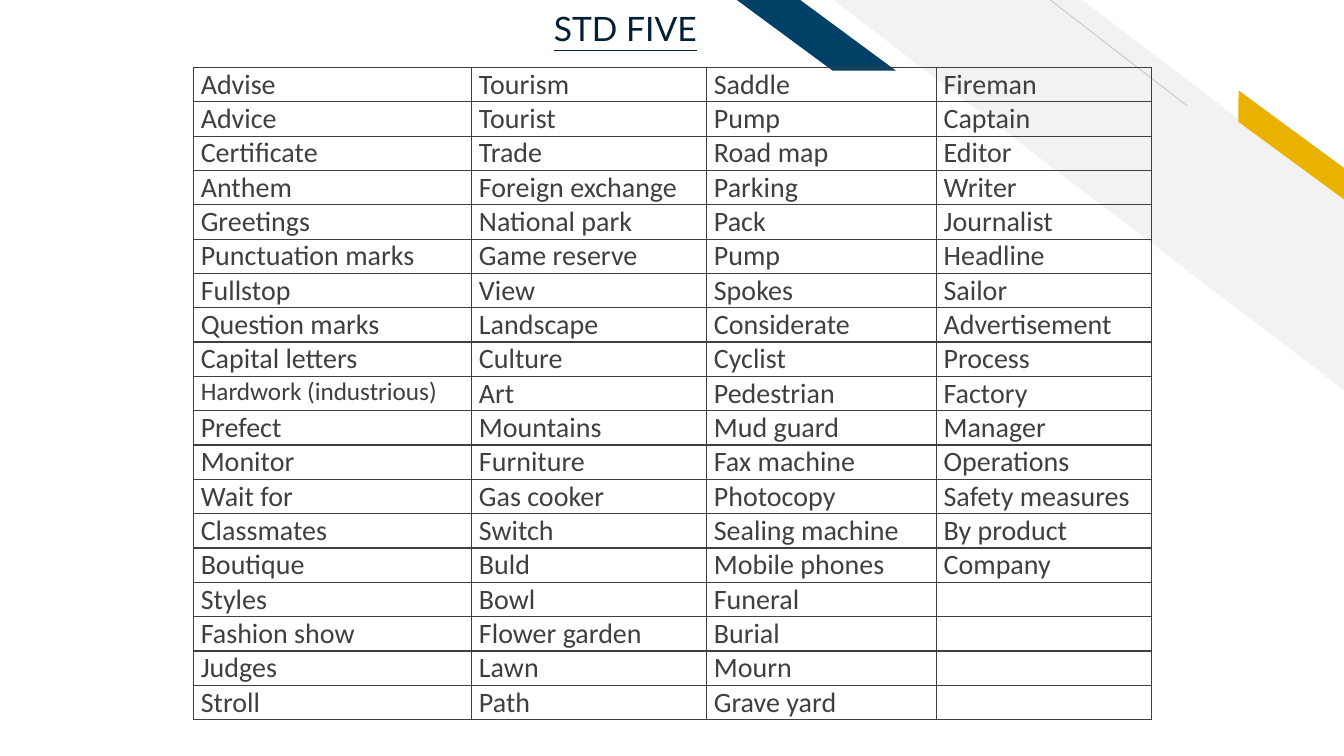
from itertools import zip_longest

from lxml import etree
from pptx import Presentation
from pptx.dml.color import RGBColor
from pptx.enum.shapes import MSO_CONNECTOR, MSO_SHAPE
from pptx.enum.text import MSO_ANCHOR, PP_ALIGN
from pptx.oxml.ns import qn
from pptx.util import Cm, Pt

STRIPE = MSO_SHAPE.DIAGONAL_STRIPE
PARALLELOGRAM = MSO_SHAPE.PARALLELOGRAM
STRAIGHT = MSO_CONNECTOR.STRAIGHT
LEFT, CENTER = PP_ALIGN.LEFT, PP_ALIGN.CENTER
TOP, MIDDLE = MSO_ANCHOR.TOP, MSO_ANCHOR.MIDDLE

# Content: one list of words per table column
TITLE = "STD FIVE"
WORD_COLUMNS = [
    ["Advise", "Advice", "Certificate", "Anthem", "Greetings",
     "Punctuation marks", "Fullstop", "Question marks", "Capital letters",
     "Hardwork (industrious)", "Prefect", "Monitor", "Wait for", "Classmates",
     "Boutique", "Styles", "Fashion show", "Judges", "Stroll"],
    ["Tourism", "Tourist", "Trade", "Foreign exchange", "National park",
     "Game reserve", "View", "Landscape", "Culture", "Art", "Mountains",
     "Furniture", "Gas cooker", "Switch", "Buld", "Bowl", "Flower garden",
     "Lawn", "Path"],
    ["Saddle", "Pump", "Road map", "Parking", "Pack", "Pump", "Spokes",
     "Considerate", "Cyclist", "Pedestrian", "Mud guard", "Fax machine",
     "Photocopy", "Sealing machine", "Mobile phones", "Funeral", "Burial",
     "Mourn", "Grave yard"],
    ["Fireman", "Captain", "Editor", "Writer", "Journalist", "Headline",
     "Sailor", "Advertisement", "Process", "Factory", "Manager", "Operations",
     "Safety measures", "By product", "Company"],
]
SMALL_WORDS = {"Hardwork (industrious)"}

# Layout in centimetres
COLUMN_WIDTHS = [7.01, 5.92, 5.79, 5.41]
ROW_HEIGHT = 0.86
TABLE_LEFT, TABLE_TOP = 4.88, 1.7
CELL_INSET = 0.18
TITLE_BOX = (12.93, 0.08, 5.66, 1.27)
DIAGONAL_LINE = (29.92, 2.67, 26.47, 0)
GREY_BAND = (21, 0, 12.87, 9.83)
YELLOW_BAR = (30.66, 3.33, 3.76, 0.64)
BLUE_BAR = (18.57, 0, 4.01, 1.78)

INK = "3F3F3F"


def color(hex_value):
    return RGBColor.from_string(hex_value)


def write(frame, text, font="Calibri", size=20, ink=INK, align=LEFT,
          underline=False):
    paragraph = frame.paragraphs[0]
    paragraph.alignment = align
    run = paragraph.add_run()
    run.text = text
    run.font.name = font
    run.font.size = Pt(size)
    run.font.color.rgb = color(ink)
    run.font.underline = underline


def add_band(slide, kind, box, adjustment, fill, rotation=0):
    shape = slide.shapes.add_shape(kind, *map(Cm, box))
    shape.adjustments[0] = adjustment
    shape.rotation = rotation
    shape.shadow.inherit = False
    shape.fill.solid()
    shape.fill.fore_color.rgb = color(fill)
    shape.line.fill.background()
    shape._element.spPr.find(qn("a:xfrm")).set("flipH", "1")


def add_borders(cell, ink=INK, width=1):
    properties = cell._tc.get_or_add_tcPr()
    for position, side in enumerate(("a:lnL", "a:lnR", "a:lnT", "a:lnB")):
        line = etree.Element(qn(side), w=str(Pt(width)))
        fill = etree.SubElement(line, qn("a:solidFill"))
        etree.SubElement(fill, qn("a:srgbClr"), val=ink)
        properties.insert(position, line)


def add_decoration(slide):
    add_band(slide, STRIPE, GREY_BAND, 0.512, "F2F2F2")
    line = slide.shapes.add_connector(STRAIGHT, *map(Cm, DIAGONAL_LINE))
    line.line.color.rgb = color("BFBFBF")
    line.line.width = Pt(0.5)
    etree.SubElement(line._element.spPr, qn("a:effectLst"))
    add_band(slide, PARALLELOGRAM, YELLOW_BAR, 0.72, "EAB200", rotation=36.3)
    add_band(slide, PARALLELOGRAM, BLUE_BAR, 1.356, "014067")


def add_word_table(slide):
    rows = list(zip_longest(*WORD_COLUMNS, fillvalue=""))
    table = slide.shapes.add_table(
        len(rows), len(COLUMN_WIDTHS), Cm(TABLE_LEFT), Cm(TABLE_TOP),
        Cm(sum(COLUMN_WIDTHS)), Cm(ROW_HEIGHT * len(rows))).table
    table.first_row = table.horz_banding = False
    for column, width in zip(table.columns, COLUMN_WIDTHS):
        column.width = Cm(width)
    for row_index, words in enumerate(rows):
        table.rows[row_index].height = Cm(ROW_HEIGHT)
        for column_index, word in enumerate(words):
            cell = table.cell(row_index, column_index)
            cell.margin_left = cell.margin_right = Cm(CELL_INSET)
            cell.margin_top = cell.margin_bottom = 0
            cell.vertical_anchor = TOP
            cell.fill.background()
            add_borders(cell)
            if word:
                write(cell.text_frame, word,
                      size=18 if word in SMALL_WORDS else 20)


def add_title(slide):
    frame = slide.shapes.add_textbox(*map(Cm, TITLE_BOX)).text_frame
    frame.word_wrap = False
    frame.vertical_anchor = MIDDLE
    write(frame, TITLE, font="Lato", size=24, ink="002034", align=CENTER,
          underline=True)


def main():
    presentation = Presentation()
    presentation.slide_width = Cm(33.87)
    presentation.slide_height = Cm(19.05)
    slide = presentation.slides.add_slide(presentation.slide_layouts[6])
    add_decoration(slide)
    add_word_table(slide)
    add_title(slide)
    presentation.save("out.pptx")


if __name__ == "__main__":
    main()
